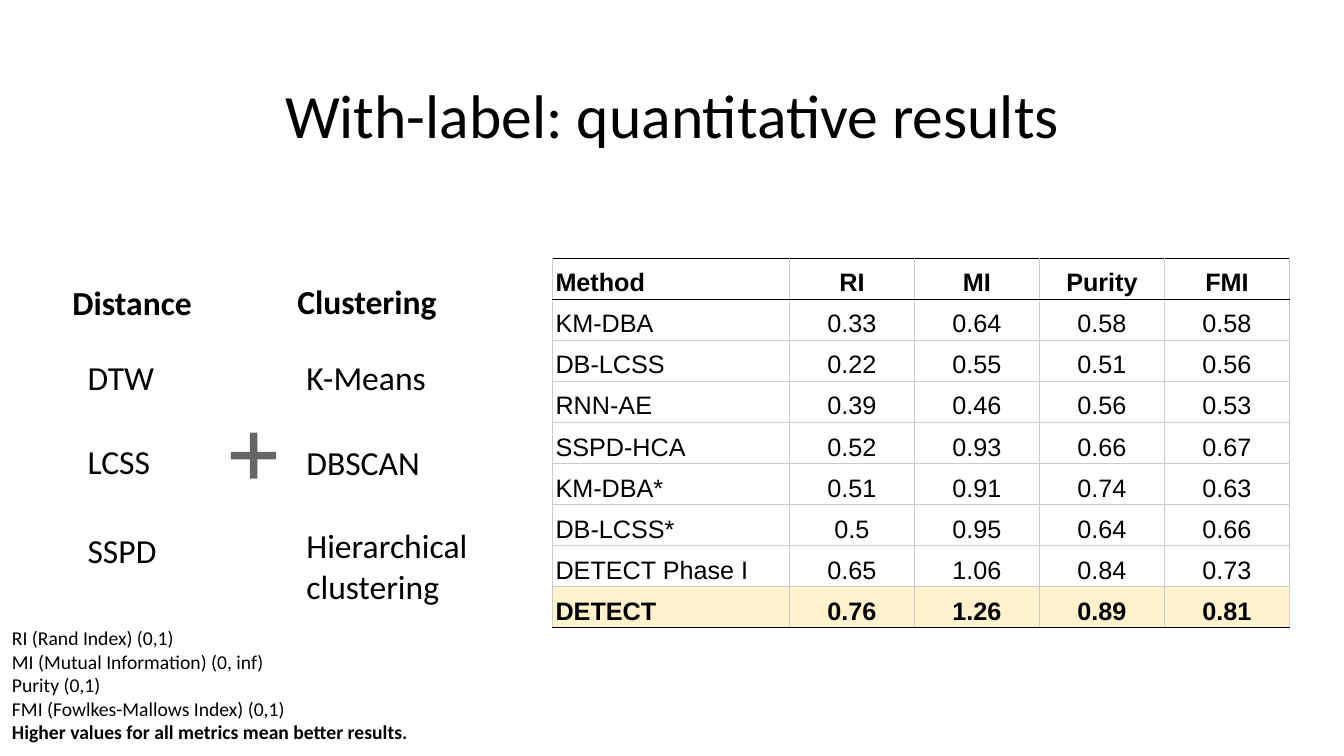
from dataclasses import dataclass

from lxml.etree import SubElement
from pptx import Presentation
from pptx.dml.color import RGBColor
from pptx.enum.shapes import MSO_SHAPE
from pptx.enum.text import MSO_ANCHOR, MSO_AUTO_SIZE, PP_ALIGN
from pptx.oxml.ns import qn
from pptx.util import Pt

EMU_PER_PX = 9144  # 100 px to the inch


def px(*lengths):
    return [length * EMU_PER_PX for length in lengths]


@dataclass(frozen=True)
class Theme:
    ink: str = "000000"
    grid: str = "CCCCCC"
    highlight: str = "FFF2CC"
    plus: str = "666666"
    body_font: str = "Calibri"
    table_font: str = "Arial"
    title_size: int = 44
    label_size: int = 24
    table_size: int = 18
    note_size: int = 14
    border_width: float = 0.75


class SlideBuilder:
    def __init__(self, slide, theme):
        self.slide = slide
        self.theme = theme

    def add_text(self, paragraph, text, size, font=None, bold=False):
        run = paragraph.add_run()
        run.text = text
        run.font.name = font or self.theme.body_font
        run.font.size = Pt(size)
        run.font.bold = bold
        run.font.color.rgb = RGBColor.from_string(self.theme.ink)

    def set_insets(self, target, horizontal, vertical):
        target.margin_left = target.margin_right = horizontal * EMU_PER_PX
        target.margin_top = target.margin_bottom = vertical * EMU_PER_PX

    def title(self, text, left, top, width, height):
        title = self.slide.shapes.title
        title.left, title.top, title.width, title.height = px(left, top, width, height)
        frame = title.text_frame
        frame.vertical_anchor = MSO_ANCHOR.MIDDLE
        frame.auto_size = MSO_AUTO_SIZE.NONE
        self.set_insets(frame, 10, 10)
        paragraph = frame.paragraphs[0]
        paragraph.alignment = PP_ALIGN.CENTER
        self.add_text(paragraph, text, self.theme.title_size)

    def label(self, text, left, top, width, bold=False):
        box = self.slide.shapes.add_textbox(*px(left, top, width, 39))
        frame = box.text_frame
        frame.word_wrap = True
        self.set_insets(frame, 10, 10)
        self.add_text(frame.paragraphs[0], text, self.theme.label_size, bold=bold)

    def notes(self, lines, left, top, width, height):
        """Set small lines, the last one in bold."""
        box = self.slide.shapes.add_textbox(*px(left, top, width, height))
        frame = box.text_frame
        frame.word_wrap = True
        frame.auto_size = MSO_AUTO_SIZE.SHAPE_TO_FIT_TEXT
        for index, line in enumerate(lines):
            paragraph = frame.add_paragraph() if index else frame.paragraphs[0]
            self.add_text(paragraph, line, self.theme.note_size, bold=line == lines[-1])

    def plus(self, left, top, width, height):
        shape = self.slide.shapes.add_shape(MSO_SHAPE.MATH_PLUS, *px(left, top, width, height))
        shape.adjustments[0] = 0.121
        shape.shadow.inherit = False
        shape.fill.solid()
        shape.fill.fore_color.rgb = RGBColor.from_string(self.theme.plus)
        shape.line.fill.background()

    def borders(self, cell, top, bottom):
        properties = cell._tc.get_or_add_tcPr()
        colors = {"L": self.theme.grid, "R": self.theme.grid, "T": top, "B": bottom}
        for position, (side, color) in enumerate(colors.items()):
            line = SubElement(properties, qn(f"a:ln{side}"), w=str(Pt(self.theme.border_width)))
            fill = SubElement(line, qn("a:solidFill"))
            SubElement(fill, qn("a:srgbClr"), val=color)
            properties.insert(position, line)

    def table(self, rows, column_widths, left, top, height):
        """Draw a grid with a bold header and a bold, highlighted last row."""
        theme = self.theme
        last = len(rows) - 1
        frame = self.slide.shapes.add_table(
            len(rows), len(column_widths), *px(left, top, sum(column_widths), height))
        table = frame.table
        table.first_row = table.horz_banding = False
        for column, width in zip(table.columns, px(*column_widths)):
            column.width = width
        for row_index, row in enumerate(rows):
            top_color = theme.ink if row_index in (0, 1) else theme.grid
            bottom_color = theme.ink if row_index in (0, last) else theme.grid
            for column_index, text in enumerate(row):
                cell = table.cell(row_index, column_index)
                cell.vertical_anchor = MSO_ANCHOR.BOTTOM
                self.set_insets(cell, 3, 2)
                if row_index == last:
                    cell.fill.solid()
                    cell.fill.fore_color.rgb = RGBColor.from_string(theme.highlight)
                else:
                    cell.fill.background()
                self.borders(cell, top_color, bottom_color)
                paragraph = cell.text_frame.paragraphs[0]
                paragraph.line_spacing = 1.15
                paragraph.alignment = PP_ALIGN.CENTER if column_index else PP_ALIGN.LEFT
                self.add_text(paragraph, text, theme.table_size, theme.table_font,
                              bold=row_index in (0, last))


RESULTS = [
    ("Method", "RI", "MI", "Purity", "FMI"),
    ("KM-DBA", "0.33", "0.64", "0.58", "0.58"),
    ("DB-LCSS", "0.22", "0.55", "0.51", "0.56"),
    ("RNN-AE", "0.39", "0.46", "0.56", "0.53"),
    ("SSPD-HCA", "0.52", "0.93", "0.66", "0.67"),
    ("KM-DBA*", "0.51", "0.91", "0.74", "0.63"),
    ("DB-LCSS*", "0.5", "0.95", "0.64", "0.66"),
    ("DETECT Phase I", "0.65", "1.06", "0.84", "0.73"),
    ("DETECT", "0.76", "1.26", "0.89", "0.81"),
]

METRIC_NOTES = [
    "RI (Rand Index) (0,1)",
    "MI (Mutual Information) (0, inf)",
    "Purity (0,1)",
    "FMI (Fowlkes-Mallows Index) (0,1)",
    "Higher values for all metrics mean better results.",
]

DISTANCES = [("DTW", 344), ("LCSS", 427), ("SSPD", 516)]
CLUSTERINGS = [("K-Means", 344), ("DBSCAN", 428), ("Hierarchical clustering", 511)]


def main():
    presentation = Presentation()
    presentation.slide_width, presentation.slide_height = px(1333, 750)
    slide = presentation.slides.add_slide(presentation.slide_layouts.get_by_name("Title Only"))
    builder = SlideBuilder(slide, Theme())

    builder.title("With-label: quantitative results", 92, 40, 1150, 145)
    builder.label("Distance", 62, 270, 167, bold=True)
    builder.label("Clustering", 285, 269, 212, bold=True)
    for name, top in DISTANCES:
        builder.label(name, 77, top, 212)
    for name, top in CLUSTERINGS:
        builder.label(name, 294, top, 212)
    builder.plus(221, 421, 61, 62)
    builder.table(RESULTS, [235] + [124] * 4, 548, 256, 367)
    builder.notes(METRIC_NOTES, 2, 616, 472, 128)

    presentation.save("out.pptx")


if __name__ == "__main__":
    main()
